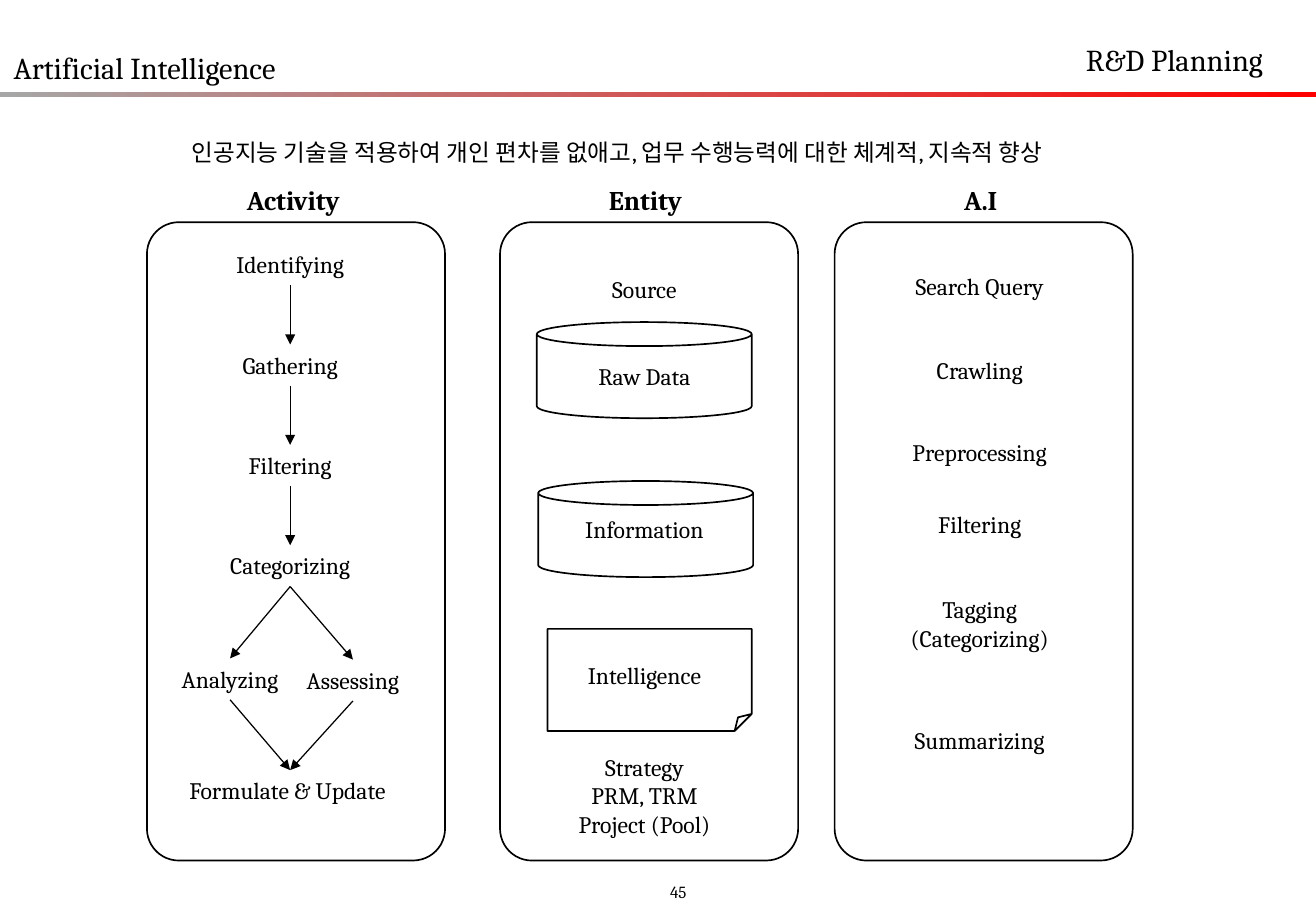
from dataclasses import dataclass

from lxml import etree
from pptx import Presentation
from pptx.dml.color import RGBColor
from pptx.enum.shapes import MSO_CONNECTOR, MSO_SHAPE
from pptx.enum.text import MSO_ANCHOR, MSO_AUTO_SIZE, PP_ALIGN
from pptx.oxml.ns import qn
from pptx.util import Pt

LEFT, CENTER = PP_ALIGN.LEFT, PP_ALIGN.CENTER
TOP, NO_AUTOSIZE = MSO_ANCHOR.TOP, MSO_AUTO_SIZE.NONE
RECT, ROUNDED = MSO_SHAPE.RECTANGLE, MSO_SHAPE.ROUNDED_RECTANGLE
CAN, FOLDED = MSO_SHAPE.CAN, MSO_SHAPE.FOLDED_CORNER
STRAIGHT = MSO_CONNECTOR.STRAIGHT


@dataclass(frozen=True)
class Theme:
    font: str = "Cambria"
    ink: RGBColor = RGBColor(0, 0, 0)
    bar_start: RGBColor = RGBColor(0xA6, 0xA6, 0xA6)
    bar_end: RGBColor = RGBColor(0xFF, 0, 0)
    title: int = 18
    heading: int = 16
    label: int = 14
    number: int = 10


theme = Theme()
LABEL_HEIGHT = 24.5

deck = Presentation()
deck.slide_width, deck.slide_height = Pt(780), Pt(540)
slide = deck.slides.add_slide(deck.slide_layouts[5])
shapes = slide.shapes


def write(text, *, left, top, width, height=LABEL_HEIGHT, size=theme.label,
          bold=False, align=CENTER, spacing=None, holder=None):
    box = holder or shapes.add_textbox(0, 0, 0, 0)
    box.left, box.top, box.width, box.height = map(Pt, (left, top, width, height))
    frame = box.text_frame
    frame.text = text
    frame.word_wrap = False
    frame.auto_size = NO_AUTOSIZE
    frame.vertical_anchor = TOP
    for paragraph in frame.paragraphs:
        paragraph.alignment = align
        paragraph.line_spacing = spacing
        font = paragraph.runs[0].font
        font.name, font.size, font.bold = theme.font, Pt(size), bold
        font.color.rgb = theme.ink


def outline(kind, left, top, width, height):
    shape = shapes.add_shape(kind, *map(Pt, (left, top, width, height)))
    shape.shadow.inherit = False
    shape.fill.background()
    shape.line.color.rgb = theme.ink
    shape.line.width = Pt(1)
    return shape


# Header: title, section and gradient bar
bar = outline(RECT, 0, 54.7, 780, 2.9)
bar.line.fill.background()
bar.fill.gradient()
bar.fill.gradient_angle = 0
for stop, color in zip(bar.fill.gradient_stops, (theme.bar_start, theme.bar_end)):
    stop.color.rgb = color
for stop, position in zip(bar.fill.gradient_stops, (0, 1)):
    stop.position = position

write("Artificial Intelligence", left=0.9, top=25.4, width=176.4, height=29,
      size=theme.title, align=LEFT, holder=shapes.title)
write("R&D Planning", left=636.6, top=20.8, width=126.7, height=29,
      size=theme.title, align=LEFT)
write("인공지능 기술을 적용하여 개인 편차를 없애고, 업무 수행능력에 대한 체계적, 지속적 향상",
      left=82, top=70, width=567.4, height=29.5, spacing=1.5)

# Three columns with headings
for heading, heading_center, panel_left in (
        ("Activity", 173.9, 87.1), ("Entity", 382.6, 296.4), ("A.I", 581.3, 494.7)):
    write(heading, left=heading_center - 63.7, top=105.2, width=127.4, height=26.6,
          size=theme.heading, bold=True)
    panel = outline(ROUNDED, panel_left, 131.7, 176.7, 378.4)
    panel.adjustments[0] = 0.107

# Activity: steps as center, top and width
SPINE, FIRST_STEP, STEP_PITCH = 172, 144.7, 59.5
main_steps = (("Identifying", 80.6), ("Gathering", 74.2),
              ("Filtering", 66.2), ("Categorizing", 90.7))
steps = {name: (SPINE, FIRST_STEP + i * STEP_PITCH, width)
         for i, (name, width) in enumerate(main_steps)}
steps["Analyzing"] = (136.4, 390.3, 74.2)
steps["Assessing"] = (209.2, 391, 73.4)
steps["Formulate & Update "] = (SPINE, 456.5, 138.2)
for name, (center, top, width) in steps.items():
    write(name, left=center - width / 2, top=top, width=width)

# Activity: arrows from the foot of one step to the head of the next
for source, target in (
        ("Identifying", "Gathering"), ("Gathering", "Filtering"),
        ("Filtering", "Categorizing"), ("Categorizing", "Analyzing"),
        ("Categorizing", "Assessing"), ("Analyzing", "Formulate & Update "),
        ("Assessing", "Formulate & Update ")):
    start_x, start_top, _ = steps[source]
    end_x, end_y, _ = steps[target]
    arrow = shapes.add_connector(
        STRAIGHT, *map(Pt, (start_x, start_top + LABEL_HEIGHT, end_x, end_y)))
    arrow.line.color.rgb = theme.ink
    arrow.line.width = Pt(0.75)
    properties = arrow.element.spPr
    etree.SubElement(properties.find(qn("a:ln")), qn("a:tailEnd"), type="triangle")
    etree.SubElement(properties, qn("a:effectLst"))

# Entity: stores and document
outline(CAN, 318.2, 190.9, 127.4, 57)
outline(CAN, 319, 285.1, 127.4, 57)
outline(FOLDED, 324.5, 372.8, 121, 60.5)

# Entity and A.I labels as top, width and height
entity_labels = (
    ("Source", 159.2, 127.4, LABEL_HEIGHT),
    ("Raw Data", 211.2, 127.4, LABEL_HEIGHT),
    ("Information", 301.8, 127.4, LABEL_HEIGHT),
    ("Intelligence", 388.1, 92.2, LABEL_HEIGHT),
    ("Strategy\nPRM, TRM\nProject (Pool)", 442.8, 97.9, 58.3),
)
ai_labels = (
    ("Search Query", 157.7, 95, LABEL_HEIGHT),
    ("Crawling", 207.4, 68.4, LABEL_HEIGHT),
    ("Preprocessing", 256.3, 100.1, LABEL_HEIGHT),
    ("Filtering", 298.8, 66.2, LABEL_HEIGHT),
    ("Tagging\n(Categorizing)", 349.2, 101.5, 41),
    ("Summarizing", 427, 95, LABEL_HEIGHT),
)
for center, labels in ((382, entity_labels), (580.7, ai_labels)):
    for text, top, width, height in labels:
        write(text, left=center - width / 2, top=top, width=width, height=height)

# Page number
write("45", left=390.2, top=519.1, width=26.6, height=18, size=theme.number, align=LEFT)

deck.save("out.pptx")
